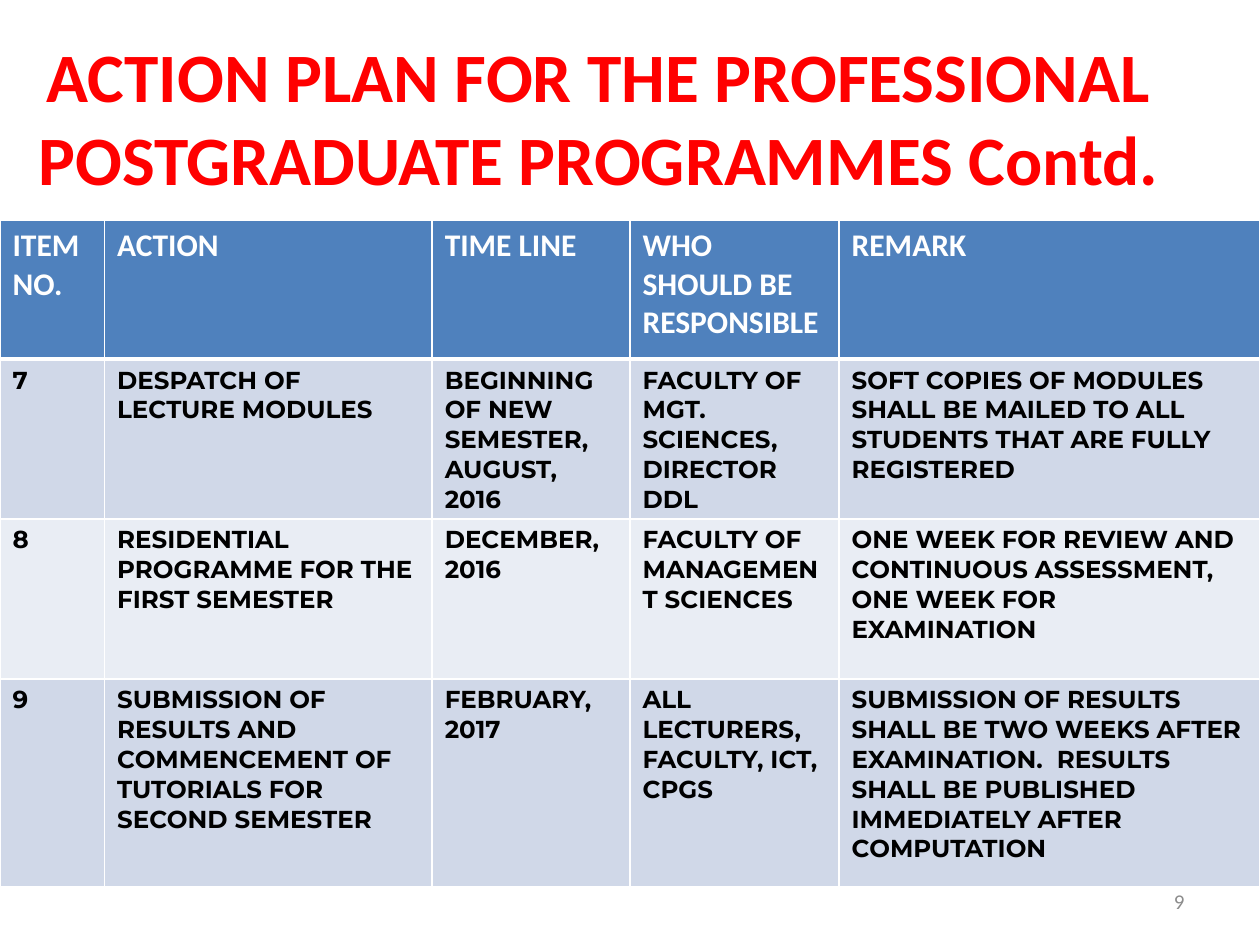
from lxml.etree import SubElement
from pptx import Presentation
from pptx.dml.color import RGBColor
from pptx.enum.text import MSO_ANCHOR, PP_ALIGN
from pptx.oxml.ns import qn
from pptx.util import Inches, Pt

RED = RGBColor(0xFF, 0x00, 0x00)
WHITE = RGBColor(0xFF, 0xFF, 0xFF)
BLACK = RGBColor(0x00, 0x00, 0x00)
GREY = RGBColor(0x8C, 0x8C, 0x8C)
BLUE = RGBColor(0x4F, 0x81, 0xBD)
BAND_DARK = RGBColor(0xD0, 0xD8, 0xE8)
BAND_LIGHT = RGBColor(0xE9, 0xED, 0xF4)

COLUMN_WIDTHS = [0.83, 2.6, 1.57, 1.66, 3.34]
ROW_HEIGHTS = [1.1, 1.06, 1.27, 1.65]
ACTION_PLAN = [
    ["ITEM NO.", "ACTION", "TIME LINE", "WHO SHOULD BE RESPONSIBLE", "REMARK"],
    ["7", "DESPATCH OF LECTURE MODULES",
     "BEGINNING OF NEW SEMESTER, AUGUST, 2016",
     "FACULTY OF MGT. SCIENCES, DIRECTOR DDL",
     "SOFT COPIES OF MODULES SHALL BE MAILED TO ALL STUDENTS THAT ARE FULLY REGISTERED"],
    ["8", "RESIDENTIAL PROGRAMME FOR THE FIRST SEMESTER",
     "DECEMBER, 2016",
     "FACULTY OF MANAGEMENT SCIENCES",
     "ONE WEEK FOR REVIEW AND CONTINUOUS ASSESSMENT,  ONE WEEK FOR EXAMINATION"],
    ["9", "SUBMISSION OF RESULTS AND COMMENCEMENT OF TUTORIALS FOR SECOND SEMESTER",
     "FEBRUARY, 2017",
     "ALL LECTURERS, FACULTY, ICT, CPGS",
     "SUBMISSION OF RESULTS SHALL BE TWO WEEKS AFTER EXAMINATION.  "
     "RESULTS SHALL BE PUBLISHED IMMEDIATELY AFTER COMPUTATION"],
]


class SlideBuilder:
    heading_font = "Calibri"
    body_font = "Montserrat"

    def __init__(self, prs):
        self.s = prs.slides.add_slide(prs.slide_layouts[6])

    def set_text(self, tf, text, font, size, color, bold=False, align=PP_ALIGN.LEFT):
        tf.text = text
        tf.word_wrap = True
        p = tf.paragraphs[0]
        p.alignment = align
        r = p.runs[0]
        r.font.name = font
        r.font.size = Pt(size)
        r.font.bold = bold
        r.font.color.rgb = color

    def text(self, text, left, top, width, height, size, color, bold, align):
        sp = self.s.shapes.add_textbox(Inches(left), Inches(top), Inches(width), Inches(height))
        sp.text_frame.vertical_anchor = MSO_ANCHOR.MIDDLE
        self.set_text(sp.text_frame, text, self.heading_font, size, color, bold, align)

    def border(self, cell, bottom_width):
        tc_pr = cell._tc.get_or_add_tcPr()
        for side in ("L", "R", "T", "B"):
            width = bottom_width if side == "B" else 1
            ln = SubElement(tc_pr, qn(f"a:ln{side}"), w=str(Pt(width)))
            fill = SubElement(ln, qn("a:solidFill"))
            SubElement(fill, qn("a:srgbClr"), val=str(WHITE))

    def table(self, rows, left, top, widths, heights):
        frame = self.s.shapes.add_table(
            len(rows), len(widths), Inches(left), Inches(top),
            Inches(sum(widths)), Inches(sum(heights)))
        table = frame.table
        for column, width in zip(table.columns, widths):
            column.width = Inches(width)
        for i, (row, height, texts) in enumerate(zip(table.rows, heights, rows)):
            row.height = Inches(height)
            if i == 0:
                fill, font, size, color = BLUE, self.heading_font, 18, WHITE
            else:
                fill = BAND_DARK if i % 2 else BAND_LIGHT
                font, size, color = self.body_font, 14, BLACK
            for cell, text in zip(row.cells, texts):
                self.border(cell, 1 if i else 3)
                cell.fill.solid()
                cell.fill.fore_color.rgb = fill
                self.set_text(cell.text_frame, text, font, size, color, True)


def main():
    prs = Presentation()
    prs.slide_width = Inches(10)
    prs.slide_height = Inches(7.5)
    slide = SlideBuilder(prs)
    slide.text("ACTION PLAN FOR THE PROFESSIONAL POSTGRADUATE PROGRAMMES Contd.",
               0, 0.3, 9.5, 1.25, 39.6, RED, True, PP_ALIGN.CENTER)
    slide.table(ACTION_PLAN, 0, 1.75, COLUMN_WIDTHS, ROW_HEIGHTS)
    slide.text("9", 7.17, 6.95, 2.33, 0.4, 12, GREY, False, PP_ALIGN.RIGHT)
    prs.save("out.pptx")


if __name__ == "__main__":
    main()
